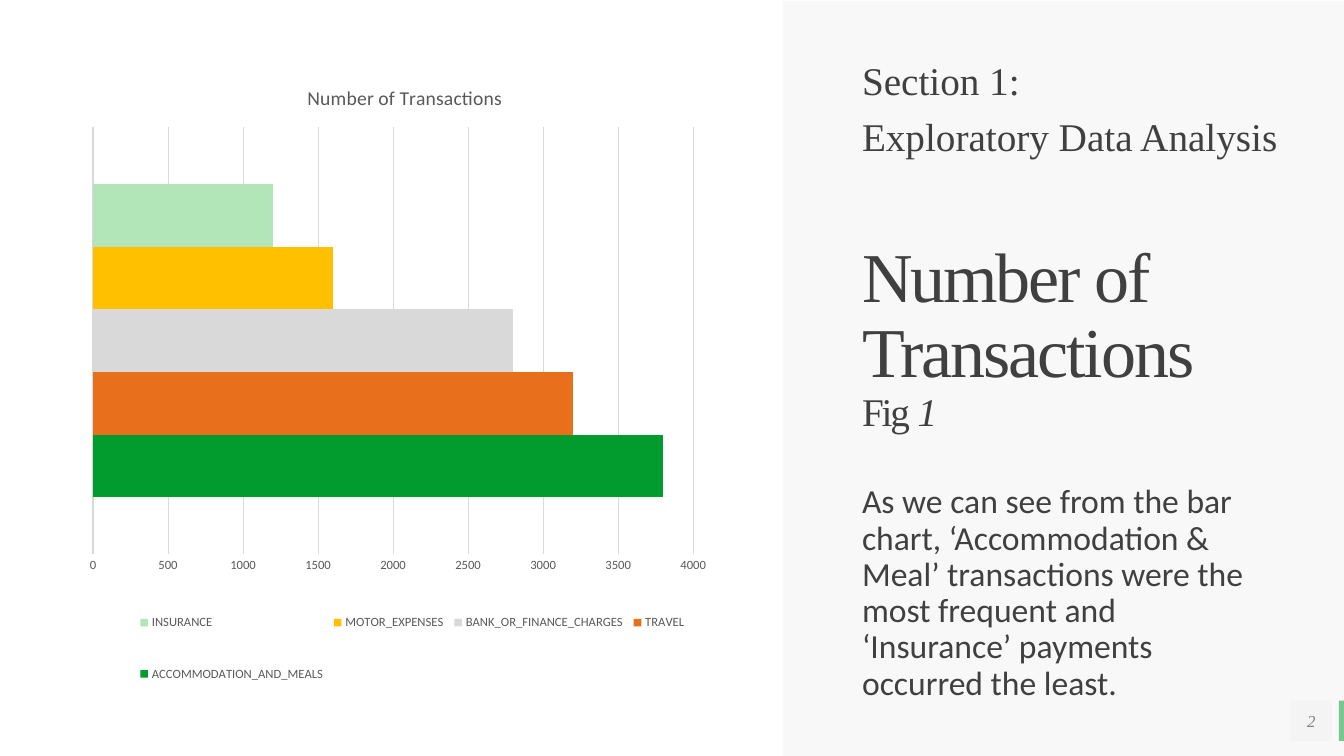
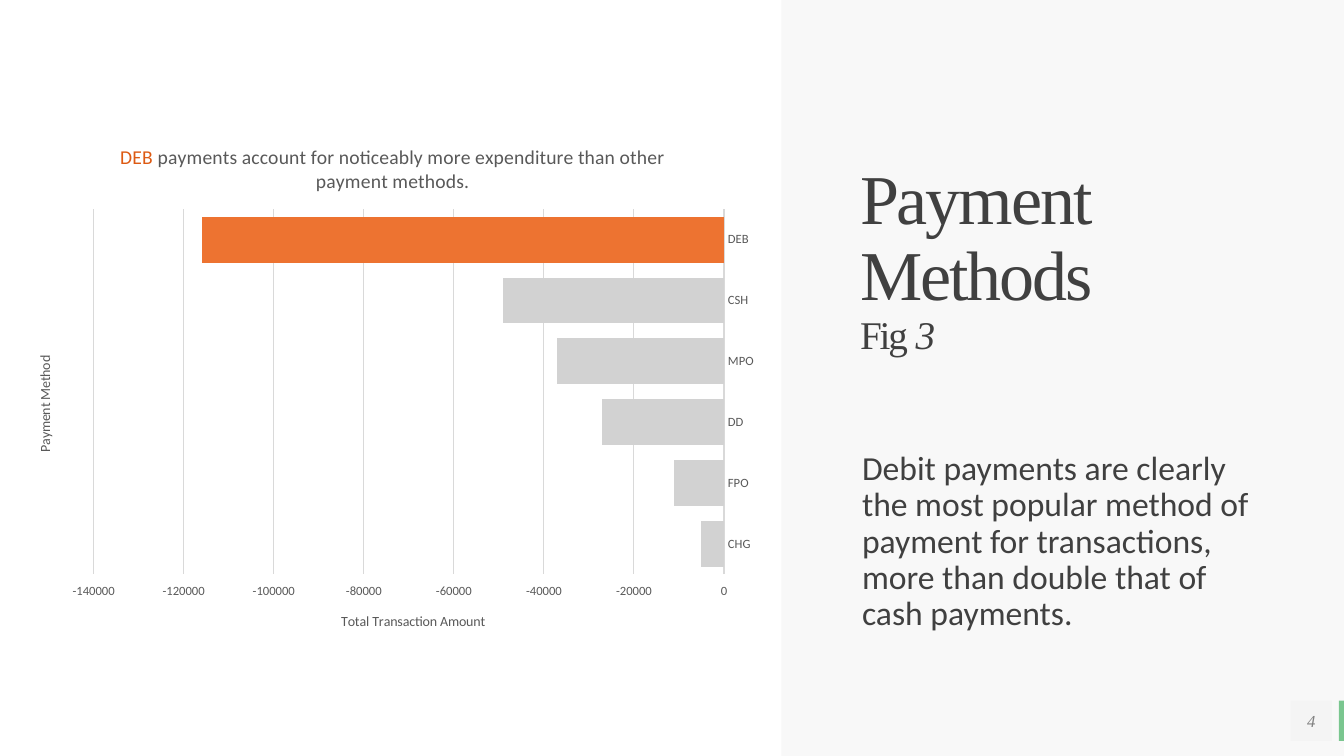
"""Build two analysis slides: a bar chart beside a title panel and a finding."""
from lxml import etree
from pptx import Presentation
from pptx import util as u
from pptx.chart.data import CategoryChartData
from pptx.dml.color import RGBColor
from pptx.enum import chart as ch, shapes, text
from pptx.oxml.ns import qn

COLORS = {
    "panel": "F2F2F2", "ink": "404040", "number": "808080", "label": "595959",
    "grid": "D9D9D9", "green": "029B2D", "orange": "E86F1B", "silver": "D9D9D9",
    "yellow": "FFC000", "mint": "B2E6B9", "bar": "D2D2D2",
    "highlight": "ED7331", "accent": "DD5A13",
}
SERIF, SANS = "Times New Roman", "Calibri"
WIDTH, HEIGHT = 13.33, 7.5

SLIDES = [
    {
        "number": "2", "title": "Number of Transactions", "figure": " 1",
        "panel": (7.77, 0.01), "bottom": 3.18, "finding_top": 4.81,
        "section": ["Section 1:", "Exploratory Data Analysis"],
        "finding": "As we can see from the bar chart, ‘Accommodation & Meal’ transactions "
                   "were the most frequent and ‘Insurance’ payments occurred the least.",
        "chart_box": (0.28, 0.61, 7.47, 6.89), "plot": (0.086, 0.094, 0.797, 0.616),
        "chart_title": [("Number of Transactions", "label")],
        "categories": ["1"], "gap": 182, "overlap": 0,
        "series": [
            ("ACCOMMODATION_AND_MEALS", [3800], "green"),
            ("TRAVEL", [3200], "orange"),
            ("BANK_OR_FINANCE_CHARGES", [2800], "silver"),
            ("MOTOR_EXPENSES", [1600], "yellow"),
            ("INSURANCE", [1200], "mint"),
        ],
        "scale": (0, 4000, 500), "legend": (0.14, 0.745, 0.74, 0.2),
    },
    {
        "number": "4", "title": "Payment Methods", "figure": " 3",
        "panel": (7.75, 0), "bottom": 3.95, "finding_top": 4.48,
        "section": [],
        "finding": "Debit payments are clearly the most popular method of payment for "
                   "transactions, more than double that of cash payments.",
        "chart_box": (0.16, 1.24, 7.47, 5.16), "plot": (0.103, 0.162, 0.837, 0.702),
        "chart_title": [
            ("DEB", "accent"),
            (" payments account for noticeably more expenditure than other payment methods.", "label"),
        ],
        "categories": ["DEB", "CSH", "MPO", "DD", "FPO", "CHG"], "gap": 33, "overlap": -30,
        "series": [("Series 1", [-116000, -49000, -37000, -27000, -11000, -5000], "bar")],
        "scale": (-140000, 0, 20000), "legend": None,
    },
]


def add_run(paragraph, words, size, color, font, italic=False):
    run = paragraph.add_run()
    run.text = words
    run.font.size = u.Pt(size)
    run.font.name = font
    run.font.bold = False
    run.font.italic = italic
    run.font.color.rgb = RGBColor.from_string(COLORS[color])


def set_layout(parent, index, box, inner=False):
    for old in parent.findall(qn("c:layout")):
        parent.remove(old)
    layout = etree.Element(qn("c:layout"))
    manual = etree.SubElement(layout, qn("c:manualLayout"))
    settings = [("layoutTarget", "inner")] if inner else []
    settings += [("xMode", "edge"), ("yMode", "edge"), *zip("xywh", box)]
    for name, value in settings:
        etree.SubElement(manual, qn(f"c:{name}")).set("val", str(value))
    parent.insert(index, layout)


presentation = Presentation()
presentation.slide_width = u.Inches(WIDTH)
presentation.slide_height = u.Inches(HEIGHT)
title_layout = presentation.slide_layouts[0]

for page in SLIDES:
    slide = presentation.slides.add_slide(title_layout)

    if page is SLIDES[0]:
        edge = slide.shapes.add_shape(
            shapes.MSO_SHAPE.RECTANGLE, u.Inches(13.28), u.Inches(6.95), u.Inches(0.05), u.Inches(0.4))
        edge.shadow.inherit = False
        edge.fill.solid()
        edge.fill.fore_color.rgb = RGBColor.from_string(COLORS["green"])
        edge.line.fill.background()
        title_layout.shapes.element.append(edge.element)

    title, finding = slide.placeholders
    left, top = page["panel"]
    title.left, title.top = u.Inches(left), u.Inches(top)
    title.width, title.height = u.Inches(WIDTH - left), u.Inches(HEIGHT - top)
    frame = title.text_frame
    frame.margin_left, frame.margin_right = u.Inches(0.78), u.Inches(0.3)
    frame.margin_top, frame.margin_bottom = 0, u.Inches(page["bottom"])
    frame.vertical_anchor = text.MSO_ANCHOR.BOTTOM
    add_run(frame.paragraphs[0], page["title"], 50, "ink", SERIF)
    figure = frame.add_paragraph()
    add_run(figure, "Fig", 28, "ink", SERIF)
    add_run(figure, page["figure"], 28, "ink", SERIF, italic=True)
    for properties in title.element.iter(qn("a:rPr")):
        properties.set("spc", "-150")

    finding.left, finding.top = u.Inches(8.55), u.Inches(page["finding_top"])
    finding.width, finding.height = u.Inches(3.98), u.Inches(1.09)
    add_run(finding.text_frame.paragraphs[0], page["finding"], 24, "ink", SANS)

    number = slide.shapes.add_shape(
        shapes.MSO_SHAPE.RECTANGLE, u.Inches(12.8), u.Inches(6.95), u.Inches(0.41), u.Inches(0.4))
    number.shadow.inherit = False
    number.text_frame.vertical_anchor = text.MSO_ANCHOR.MIDDLE
    number.text_frame.paragraphs[0].alignment = text.PP_ALIGN.CENTER
    add_run(number.text_frame.paragraphs[0], page["number"], 12, "number", SERIF, italic=True)

    for shape in (title, number):
        shape.fill.solid()
        shape.fill.fore_color.rgb = RGBColor.from_string(COLORS["panel"])
        shape.line.fill.background()
        color = shape.element.find(".//" + qn("a:srgbClr"))
        etree.SubElement(color, qn("a:alpha")).set("val", "50000")

    flush = [finding, number]
    left_aligned = [title, finding]
    if page["section"]:
        section = slide.shapes.add_textbox(u.Inches(8.55), u.Inches(0.61), u.Inches(4.7), u.Inches(1.09))
        for index, line in enumerate(page["section"]):
            paragraph = section.text_frame.paragraphs[0] if index == 0 else section.text_frame.add_paragraph()
            add_run(paragraph, line, 28, "ink", SERIF)
        flush.append(section)
        left_aligned.append(section)

    for shape in flush:
        frame = shape.text_frame
        frame.margin_left = frame.margin_right = frame.margin_top = frame.margin_bottom = 0
    for shape in left_aligned:
        shape.text_frame.word_wrap = True
        shape.text_frame.auto_size = text.MSO_AUTO_SIZE.NONE
        for paragraph in shape.text_frame.paragraphs:
            paragraph.alignment = text.PP_ALIGN.LEFT
            paragraph.line_spacing = 0.9
            paragraph.space_before = u.Pt(0 if shape is title else 10)

    data = CategoryChartData()
    data.categories = page["categories"]
    for name, values, _ in page["series"]:
        data.add_series(name, values)
    chart = slide.shapes.add_chart(
        ch.XL_CHART_TYPE.BAR_CLUSTERED, *map(u.Inches, page["chart_box"]), data).chart
    chart.font.name = SANS
    chart.font.size = u.Pt(9)
    chart.font.color.rgb = RGBColor.from_string(COLORS["label"])
    chart.has_title = True
    for words, color in page["chart_title"]:
        add_run(chart.chart_title.text_frame.paragraphs[0], words, 14, color, SANS)
    set_layout(chart.element.find(".//" + qn("c:plotArea")), 0, page["plot"], inner=True)

    plot = chart.plots[0]
    plot.gap_width, plot.overlap = page["gap"], page["overlap"]
    plot.vary_by_categories = False
    for series, (_, _, color) in zip(plot.series, page["series"]):
        series.invert_if_negative = False
        series.format.fill.solid()
        series.format.fill.fore_color.rgb = RGBColor.from_string(COLORS[color])

    value_axis, category_axis = chart.value_axis, chart.category_axis
    value_axis.minimum_scale, value_axis.maximum_scale, value_axis.major_unit = page["scale"]
    value_axis.format.line.fill.background()
    grid, axis_line = value_axis.major_gridlines.format.line, category_axis.format.line
    for line in (grid, axis_line):
        line.color.rgb = RGBColor.from_string(COLORS["grid"])
        line.width = u.Pt(0.75)
    for axis in (value_axis, category_axis):
        axis.major_tick_mark = axis.minor_tick_mark = ch.XL_TICK_MARK.NONE

    chart.has_legend = page["legend"] is not None
    if chart.has_legend:
        category_axis.visible = False
        axis_line.fill.background()
        chart.legend.position = ch.XL_LEGEND_POSITION.BOTTOM
        chart.legend.include_in_layout = False
        set_layout(chart.element.find(".//" + qn("c:legend")), 1, page["legend"])
    else:
        category_axis.reverse_order = True
        category_axis.tick_label_position = ch.XL_TICK_LABEL_POSITION.NEXT_TO_AXIS
        value_axis.crosses = ch.XL_AXIS_CROSSES.MAXIMUM
        value_axis.tick_label_position = ch.XL_TICK_LABEL_POSITION.HIGH
        for axis, words in ((category_axis, "Payment Method"), (value_axis, "Total Transaction Amount")):
            add_run(axis.axis_title.text_frame.paragraphs[0], words, 10, "label", SANS)
        highlight = plot.series[0].points[0].format.fill
        highlight.solid()
        highlight.fore_color.rgb = RGBColor.from_string(COLORS["highlight"])

presentation.save("out.pptx")
